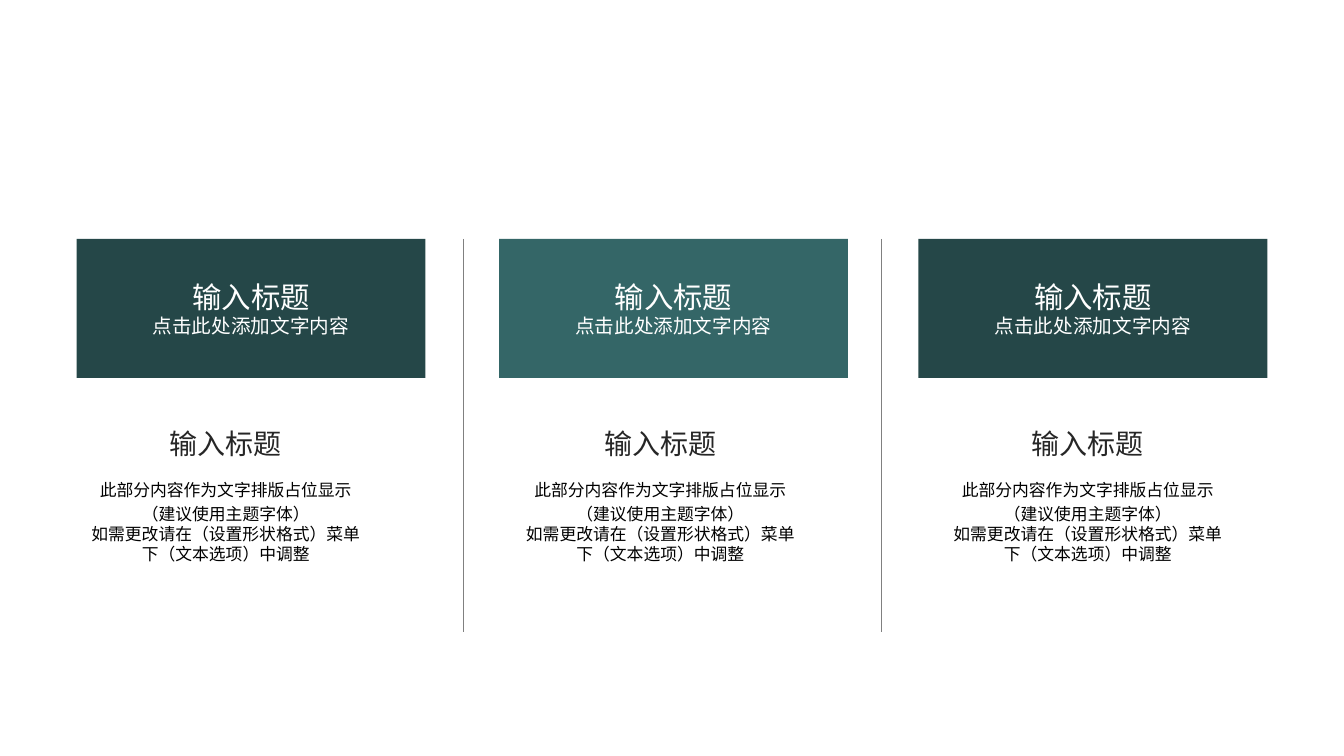
from lxml.etree import SubElement
from pptx import Presentation
from pptx.dml.color import RGBColor
from pptx.enum.shapes import MSO_CONNECTOR, MSO_SHAPE
from pptx.enum.text import MSO_ANCHOR, MSO_AUTO_SIZE, PP_ALIGN
from pptx.oxml.ns import qn
from pptx.util import Inches, Pt

FONT = "Roboto"
TOP = 2.37
COLUMNS = [(0.76, 0.76, "254748"), (4.95, 5.07, "346667"), (9.11, 9.31, "254748")]
DIVIDERS = [4.59, 8.74]
TITLE = "输入标题"
SUBTITLE = "点击此处添加文字内容"
BODY = ["此部分内容作为文字排版占位显示（建议使用主题字体）",
        "如需更改请在（设置形状格式）菜单下（文本选项）中调整"]


def rgb(value):
    """Turn a hex string into a colour."""
    return RGBColor.from_string(value)


def write(tf, lines, color):
    """Fill a text frame with centred (text, size, spacing) lines."""
    tf.word_wrap = True
    for i, (text, size, spacing) in enumerate(lines):
        p = tf.add_paragraph() if i else tf.paragraphs[0]
        p.alignment = PP_ALIGN.CENTER
        p.line_spacing = spacing
        r = p.add_run()
        r.text = text
        for name, value in {"name": FONT, "size": Pt(size)}.items():
            setattr(r.font, name, value)
        r.font.color.rgb = rgb(color)


def add_banner(s, x, y, w, h, fill):
    """Draw the filled banner with its title and subtitle."""
    sp = s.shapes.add_shape(MSO_SHAPE.RECTANGLE, *map(Inches, (x, y, w, h)))
    sp.shadow.inherit = False
    sp.fill.solid()
    sp.fill.fore_color.rgb = rgb(fill)
    sp.line.fill.background()
    sp.text_frame.vertical_anchor = MSO_ANCHOR.MIDDLE
    write(sp.text_frame, [(TITLE, 21, None), (SUBTITLE, 14, None)], "FFFFFF")


def add_text(s, x, y, w, h, lines, color):
    """Add a text box that grows with its lines."""
    tf = s.shapes.add_textbox(*map(Inches, (x, y, w, h))).text_frame
    write(tf, lines, color)
    tf.auto_size = MSO_AUTO_SIZE.SHAPE_TO_FIT_TEXT


def add_details(s, x, y, w):
    """Place the heading and the body text below a banner."""
    body = list(zip(BODY, (12, 12), (1.2, None)))
    add_text(s, x, y + 0.49, w, 0.99, body, "000000")
    add_text(s, x + 0.01, y, w - 0.02, 0.44, [(TITLE, 20, None)], "262626")


def add_divider(s, x, y, h):
    """Draw a thin vertical line between two columns."""
    line = s.shapes.add_connector(MSO_CONNECTOR.STRAIGHT,
                                  *map(Inches, (x, y, x, y + h)))
    line.line.color.rgb = rgb("808080")
    line.line.width = Pt(0.25)
    SubElement(line._element.spPr, qn("a:effectLst"))


def main():
    """Build the three-column slide."""
    prs = Presentation()
    prs.slide_width, prs.slide_height = Inches(13.33), Inches(7.5)
    s = prs.slides.add_slide(prs.slide_layouts[6])
    for x in DIVIDERS:
        add_divider(s, x, TOP, 3.9)
    for banner_x, text_x, fill in COLUMNS:
        add_banner(s, banner_x, TOP, 3.46, 1.38, fill)
        add_details(s, text_x, TOP + 1.81, 2.96)
    prs.save("out.pptx")


if __name__ == "__main__":
    main()
